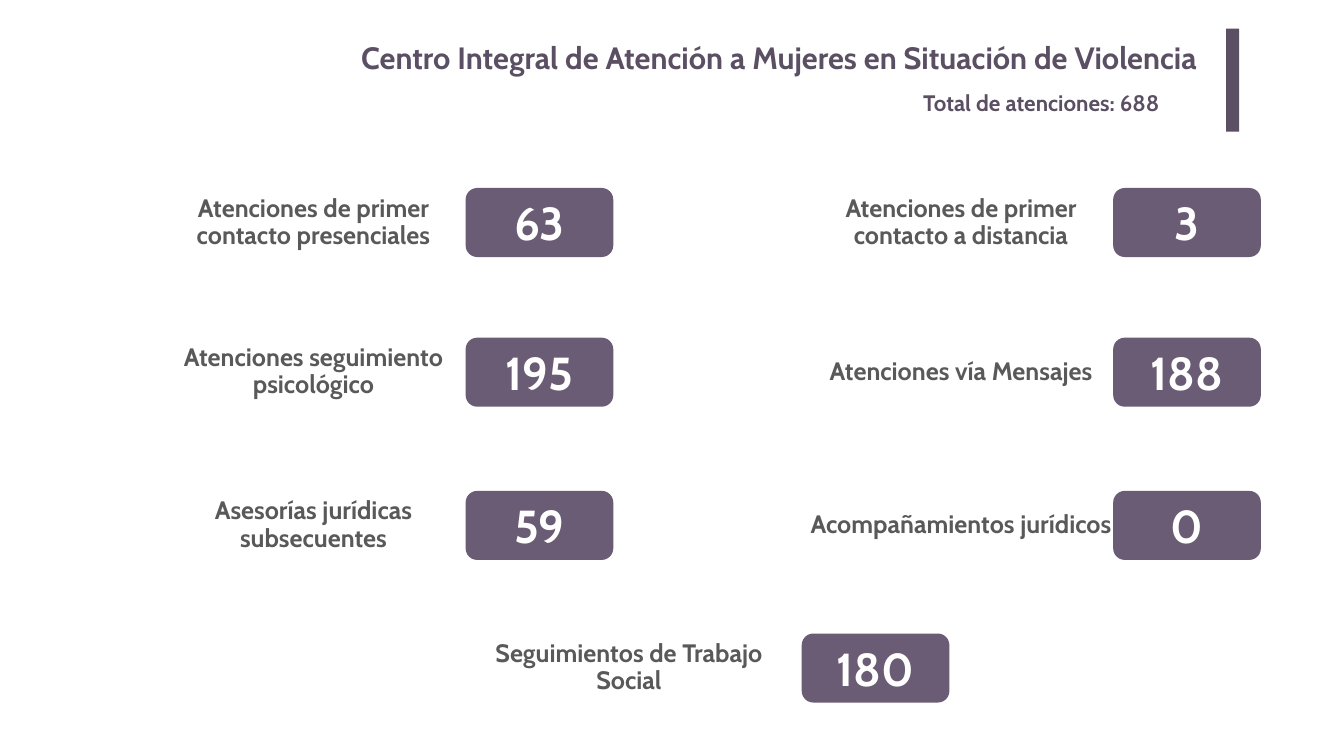
from dataclasses import dataclass

from pptx import Presentation
from pptx.dml.color import RGBColor
from pptx.enum.shapes import MSO_SHAPE as SHAPE
from pptx.enum.text import MSO_ANCHOR as ANCHOR, MSO_AUTO_SIZE as AUTO, PP_ALIGN as ALIGN
from pptx.util import Inches, Pt

# Content: (label, value) by row, left column then right column
TITLE = "Centro Integral de Atención a Mujeres en Situación de Violencia"
SUBTITLE = "Total de atenciones: 688"
ROWS = [
    [("Atenciones de primer contacto presenciales", "63"),
     ("Atenciones de primer contacto a distancia", "3")],
    [("Atenciones seguimiento psicológico", "195"),
     ("Atenciones vía Mensajes", "188")],
    [("Asesorías jurídicas subsecuentes", "59"),
     ("Acompañamientos jurídicos", "0")],
]
LAST = ("Seguimientos de Trabajo Social", "180")


@dataclass(frozen=True)
class Theme:
    font: str = "Cabin"
    heading: str = "5B4F63"
    card: str = "6A5C74"
    label: str = "595959"
    white: str = "FFFFFF"
    title_size: int = 44
    subtitle_size: int = 32
    label_size: int = 36
    value_size: int = 66


T = Theme()

# Layout in inches
COL_X = [9.24, 22.09]
ROW_Y = [3.73, 6.7, 9.74]
LAST_X, LAST_Y = 15.91, 12.57
CARD_W, CARD_H = 2.93, 1.37
LABEL_W = 6.46
LABEL_OFFSET = 3.02      # from label centre to card edge
LAST_OFFSET = 3.43


def write(sp, text, *, size, color, align=ALIGN.CENTER, anchor=ANCHOR.MIDDLE,
          spacing=1.0, inset=(0.1, 0.05)):
    tf = sp.text_frame
    tf.word_wrap = True
    tf.auto_size = AUTO.NONE
    tf.vertical_anchor = anchor
    tf.margin_left = tf.margin_right = Inches(inset[0])
    tf.margin_top = tf.margin_bottom = Inches(inset[1])
    p = tf.paragraphs[0]
    p.alignment, p.line_spacing = align, spacing
    r = p.add_run()
    r.text = text
    r.font.name, r.font.size, r.font.bold = T.font, Pt(size), True
    r.font.color.rgb = RGBColor.from_string(color)


def add_block(shapes, kind, x, y, w, h, color):
    sp = shapes.add_shape(kind, Inches(x), Inches(y), Inches(w), Inches(h))
    sp.shadow.inherit = False
    sp.fill.solid()
    sp.fill.fore_color.rgb = RGBColor.from_string(color)
    sp.line.fill.background()
    return sp


def add_stat(shapes, label, value, x, y, offset=LABEL_OFFSET):
    sp = shapes.add_textbox(Inches(x - offset - LABEL_W / 2), Inches(y),
                            Inches(LABEL_W), Inches(CARD_H))
    write(sp, label, size=T.label_size, color=T.label, spacing=0.9)
    card = add_block(shapes, SHAPE.ROUNDED_RECTANGLE, x, y, CARD_W, CARD_H, T.card)
    write(card, value, size=T.value_size, color=T.white)


def main():
    prs = Presentation()
    prs.slide_width, prs.slide_height = Inches(26.67), Inches(15)
    slide = prs.slides.add_slide(prs.slide_layouts[5])
    shapes = slide.shapes

    # Heading
    title = shapes.title
    title.left, title.top = Inches(3.66), Inches(0.67)
    title.width, title.height = Inches(20.3), Inches(1.02)
    write(title, TITLE, size=T.title_size, color=T.heading, align=ALIGN.RIGHT,
          anchor=ANCHOR.TOP, inset=(0.2, 0.1))
    add_block(shapes, SHAPE.RECTANGLE, 24.33, 0.57, 0.26, 2.04, T.heading)
    subtitle = shapes.add_textbox(Inches(18.22), Inches(1.71), Inches(5.92), Inches(0.64))
    write(subtitle, SUBTITLE, size=T.subtitle_size, color=T.heading,
          align=ALIGN.LEFT, anchor=ANCHOR.TOP)

    # Two-column grid of figures, then the last one between the columns
    for y, row in zip(ROW_Y, ROWS):
        for x, (label, value) in zip(COL_X, row):
            add_stat(shapes, label, value, x, y)
    add_stat(shapes, *LAST, LAST_X, LAST_Y, LAST_OFFSET)

    prs.save("out.pptx")


if __name__ == "__main__":
    main()
